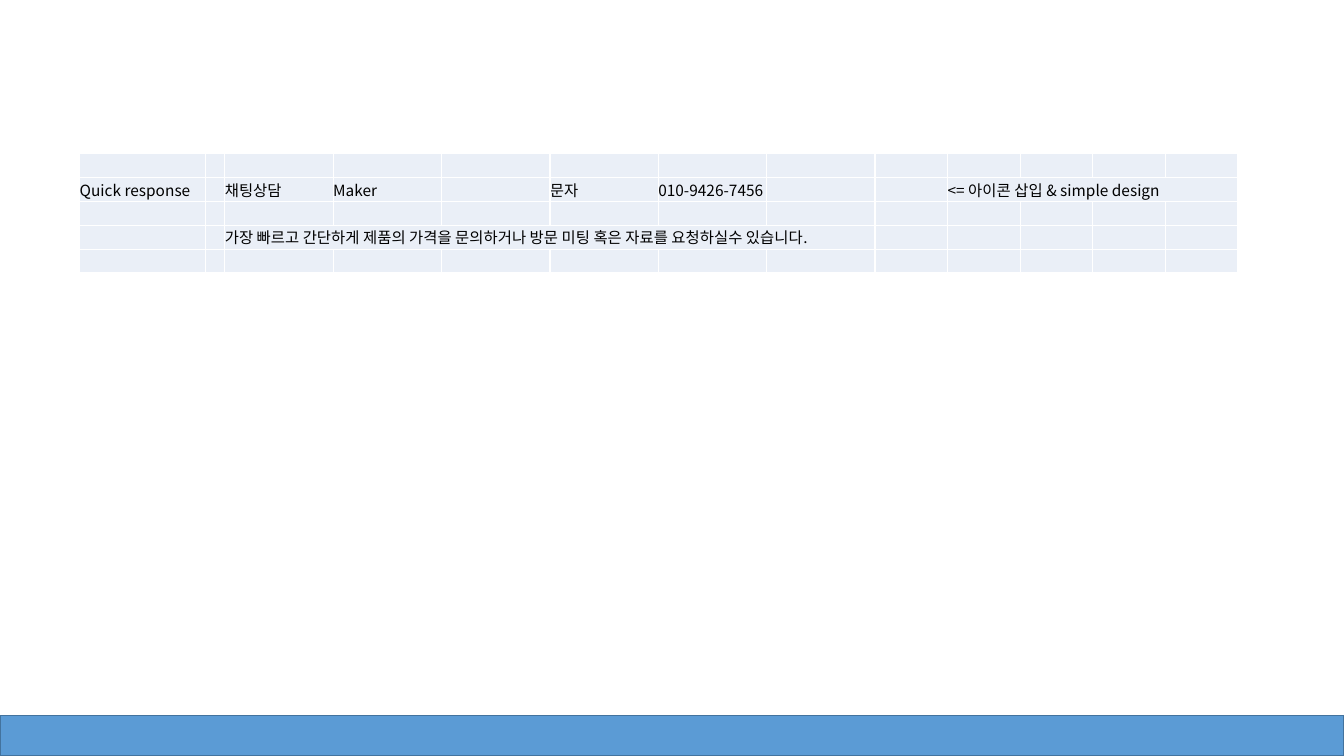
"""Build the quick response contact slide."""
from dataclasses import dataclass

from lxml.etree import SubElement
from pptx import Presentation
from pptx.dml.color import RGBColor
from pptx.enum.shapes import MSO_SHAPE
from pptx.enum.text import MSO_ANCHOR
from pptx.oxml import parse_xml
from pptx.oxml.ns import nsdecls, qn
from pptx.util import Inches, Pt


@dataclass(frozen=True)
class Theme:
    """Colours, type and line sizes of the slide."""
    font: str = "Noto Sans CJK KR"
    text_size: int = 11
    line_width: int = 1
    text: str = "000000"
    cell: str = "EAEFF7"
    border: str = "FFFFFF"
    bar: str = "5B9BD5"
    bar_line: str = "43739E"


THEME = Theme()
SLIDE_WIDTH, SLIDE_HEIGHT = 13.33, 7.5
BAR_HEIGHT = 0.4
TABLE_LEFT, TABLE_TOP, TABLE_HEIGHT = 0.79, 1.52, 1.19
ROW_COUNT = 5
COLUMN_WIDTHS = [1.25, 0.19] + [6.45 / 6] * 6 + [3.6 / 5] * 5
CELL_TEXTS = {
    (1, 0): "Quick response",
    (1, 2): "채팅상담",
    (1, 3): "Maker",
    (1, 5): "문자",
    (1, 6): "010-9426-7456",
    (1, 9): "<= 아이콘 삽입 & simple design",
    (3, 2): "가장 빠르고 간단하게 제품의 가격을 문의하거나 방문 미팅 혹은 자료를 요청하실수 있습니다.",
}
COLUMN_SPANS = {(1, 9): 4, (3, 2): 6}


def add_footer_bar(slide):
    """Add the full-width bar along the bottom edge."""
    shape = slide.shapes.add_shape(
        MSO_SHAPE.RECTANGLE, Inches(0), Inches(SLIDE_HEIGHT - BAR_HEIGHT),
        Inches(SLIDE_WIDTH), Inches(BAR_HEIGHT))
    shape.shadow.inherit = False
    shape.fill.solid()
    shape.fill.fore_color.rgb = RGBColor.from_string(THEME.bar)
    shape.line.color.rgb = RGBColor.from_string(THEME.bar_line)
    shape.line.width = Pt(THEME.line_width)


def set_borders(cell):
    """Give all four sides of a cell the same line."""
    properties = cell._tc.get_or_add_tcPr()
    for index, side in enumerate(("lnL", "lnR", "lnT", "lnB")):
        properties.insert(index, parse_xml(
            f'<a:{side} {nsdecls("a")} w="{Pt(THEME.line_width)}"><a:solidFill>'
            f'<a:srgbClr val="{THEME.border}"/></a:solidFill></a:{side}>'))


def set_text(cell, text):
    """Write the text of a cell and format it."""
    cell.text_frame.text = text
    paragraph = cell.text_frame.paragraphs[0]
    for run in paragraph.runs:
        run.font.size = Pt(THEME.text_size)
        run.font.name = THEME.font
        run.font.color.rgb = RGBColor.from_string(THEME.text)
        east_asian = SubElement(run.font._element, qn("a:ea"))
        east_asian.set("typeface", THEME.font)
    end_properties = paragraph._p.get_or_add_endParaRPr()
    end_properties.set("sz", str(THEME.text_size * 100))


def style_cell(cell):
    """Set the fill, margins, anchor and borders of a cell."""
    cell.fill.solid()
    cell.fill.fore_color.rgb = RGBColor.from_string(THEME.cell)
    cell.margin_left = cell.margin_right = 0
    cell.margin_top = cell.margin_bottom = 0
    cell.vertical_anchor = MSO_ANCHOR.MIDDLE
    set_borders(cell)


def add_contact_table(slide):
    """Add the table of contact channels."""
    table = slide.shapes.add_table(
        ROW_COUNT, len(COLUMN_WIDTHS), Inches(TABLE_LEFT), Inches(TABLE_TOP),
        Inches(sum(COLUMN_WIDTHS)), Inches(TABLE_HEIGHT)).table
    table.first_row = table.horz_banding = False
    for column, width in zip(table.columns, COLUMN_WIDTHS):
        column.width = Inches(width)
    for row_index, row in enumerate(table.rows):
        row.height = Inches(TABLE_HEIGHT / ROW_COUNT)
        for column_index, cell in enumerate(row.cells):
            set_text(cell, CELL_TEXTS.get((row_index, column_index), ""))
            style_cell(cell)
    for (row_index, column_index), span in COLUMN_SPANS.items():
        table.cell(row_index, column_index).merge(
            table.cell(row_index, column_index + span - 1))


def main():
    """Create the presentation and save it."""
    presentation = Presentation()
    presentation.slide_width = Inches(SLIDE_WIDTH)
    presentation.slide_height = Inches(SLIDE_HEIGHT)
    slide = presentation.slides.add_slide(presentation.slide_layouts[6])
    add_footer_bar(slide)
    add_contact_table(slide)
    presentation.save("out.pptx")


main()
